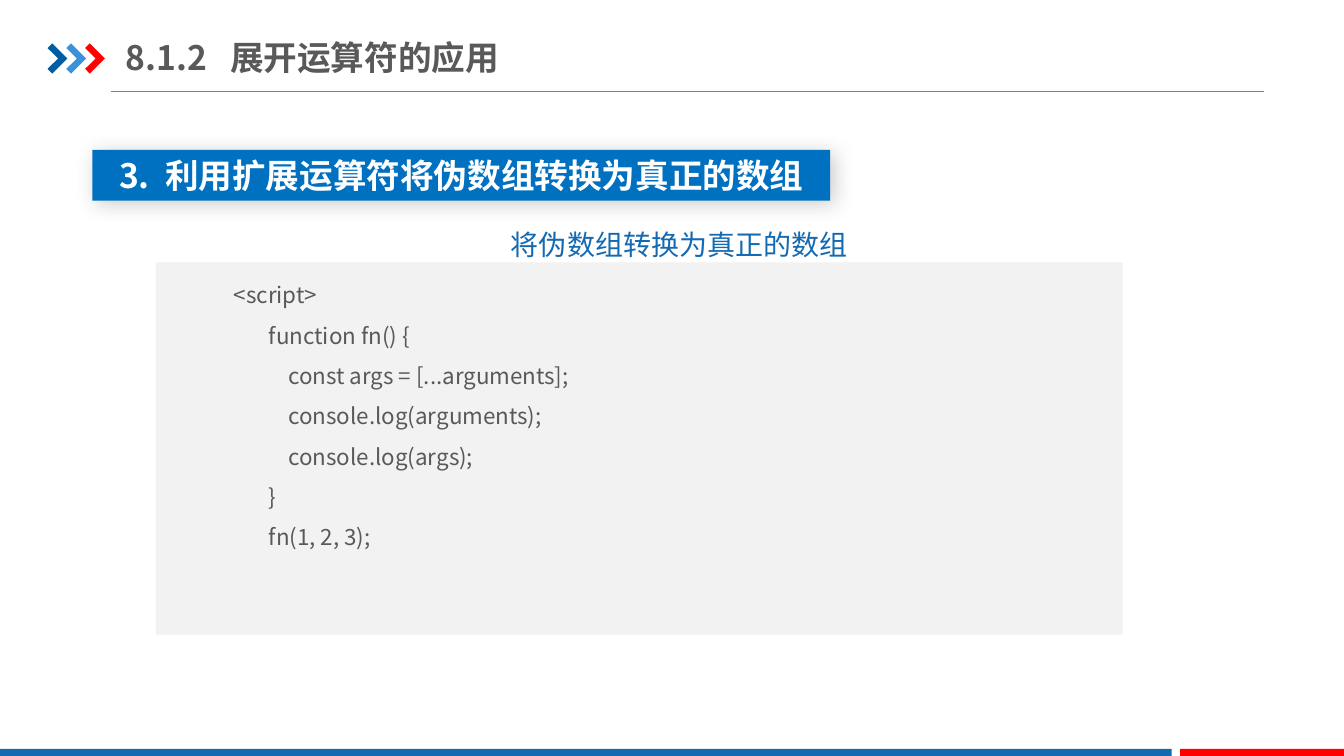
from lxml import etree
from pptx import Presentation
from pptx.dml.color import RGBColor
from pptx.enum import shapes, text
from pptx.oxml import ns
from pptx.util import Pt

FONT = "Noto Sans CJK SC"
WHITE = RGBColor(0xFF, 0xFF, 0xFF)
BLACK = RGBColor(0x00, 0x00, 0x00)
TEXT_GRAY = RGBColor(0x59, 0x59, 0x59)
RULE_GRAY = RGBColor(0x80, 0x80, 0x80)
CODE_GRAY = RGBColor(0xF2, 0xF2, 0xF2)
NAVY = RGBColor(0x00, 0x5D, 0xA2)
SKY = RGBColor(0x39, 0x92, 0xDB)
RED = RGBColor(0xFF, 0x00, 0x00)
BLUE = RGBColor(0x13, 0x69, 0xB2)
HEADING_BLUE = RGBColor(0x00, 0x70, 0xC0)


def add_run(paragraph, words, size, color, bold=False, spacing=0):
    run = paragraph.add_run()
    run.text = words
    run.font.size = Pt(size)
    run.font.bold = bold
    run.font.color.rgb = color
    run.font.name = FONT
    properties = run.font._element
    etree.SubElement(properties, ns.qn("a:ea")).set("typeface", FONT)
    if spacing:
        properties.set("spc", str(spacing))


def add_bar(left, top, width, height, color):
    bar = slide.shapes.add_shape(
        shapes.MSO_SHAPE.RECTANGLE, Pt(left), Pt(top), Pt(width), Pt(height))
    bar.shadow.inherit = False
    bar.fill.solid()
    bar.fill.fore_color.rgb = color
    bar.line.fill.background()
    return bar


presentation = Presentation()
presentation.slide_width = Pt(960)
presentation.slide_height = Pt(540)
slide = presentation.slides.add_slide(presentation.slide_layouts[5])

title = slide.shapes.title
title.left, title.top, title.width, title.height = Pt(90), Pt(21), Pt(307), Pt(39.5)
frame = title.text_frame
frame.auto_size = text.MSO_AUTO_SIZE.NONE
frame.vertical_anchor = text.MSO_ANCHOR.MIDDLE
frame.margin_left = frame.margin_right = 0
frame.margin_top = frame.margin_bottom = Pt(5)
paragraph = frame.paragraphs[0]
paragraph.alignment = text.PP_ALIGN.LEFT
add_run(paragraph, "8.1.2", 24, TEXT_GRAY, True)
add_run(paragraph, " ", 24, TEXT_GRAY, True, 1080)
add_run(paragraph, "展开运算符的应用", 24, TEXT_GRAY, True)

rule = slide.shapes.add_connector(
    shapes.MSO_CONNECTOR.STRAIGHT, Pt(79), Pt(65.5), Pt(903), Pt(65.5))
rule.line.color.rgb = RULE_GRAY
rule.line.width = Pt(0.75)
etree.SubElement(rule._element.spPr, ns.qn("a:effectLst"))

CHEVRON = [(0, 3.4), (3.4, 0), (14.2, 10.8), (3.4, 21.6), (0, 18.2), (7.5, 10.8)]
for index, color in enumerate([NAVY, SKY, RED]):
    left = 34 + index * 13.4
    points = [(Pt(left + x), Pt(31 + y)) for x, y in CHEVRON]
    builder = slide.shapes.build_freeform(*points[0])
    builder.add_line_segments(points[1:], close=True)
    chevron = builder.convert_to_shape()
    chevron.shadow.inherit = False
    chevron.fill.solid()
    chevron.fill.fore_color.rgb = color
    chevron.line.fill.background()

add_bar(0, 535, 837, 6, BLUE)
add_bar(843, 535, 117, 6, RED)
add_bar(111.3, 187.4, 690.7, 266, CODE_GRAY)

CODE = [
    (3, "<script>"),
    (28, "function fn() {"),
    (42, "const args = [...arguments];"),
    (42, "console.log(arguments);"),
    (42, "console.log(args);"),
    (28, "}"),
    (28, "fn(1, 2, 3);"),
]
code_box = slide.shapes.add_textbox(Pt(157), Pt(188), Pt(663), Pt(207.5))
frame = code_box.text_frame
frame.word_wrap = True
for index, (indent, words) in enumerate(CODE):
    paragraph = frame.add_paragraph() if index else frame.paragraphs[0]
    paragraph.line_spacing = 1.5
    paragraph._p.get_or_add_pPr().set("marL", str(Pt(indent)))
    add_run(paragraph, words, 16, TEXT_GRAY)

caption = slide.shapes.add_textbox(Pt(258.5), Pt(145.5), Pt(453.5), Pt(41.5))
frame = caption.text_frame
frame.word_wrap = True
frame.margin_left = frame.margin_right = Pt(9.6)
frame.margin_top = frame.margin_bottom = Pt(4.8)
paragraph = frame.paragraphs[0]
paragraph.alignment = text.PP_ALIGN.CENTER
paragraph.line_spacing = 1.5
add_run(paragraph, "将伪数组转换为真正的数组", 20, BLUE)

heading = add_bar(66, 107, 527, 36.3, HEADING_BLUE)
effects = heading._element.spPr.find(ns.qn("a:effectLst"))
shadow = etree.SubElement(
    effects, ns.qn("a:outerShdw"), blurRad=str(Pt(15)), dist=str(Pt(3)),
    dir="2700000", algn="tl", rotWithShape="0")
shadow_color = etree.SubElement(shadow, ns.qn("a:srgbClr"), val=str(BLACK))
etree.SubElement(shadow_color, ns.qn("a:alpha"), val="20000")
frame = heading.text_frame
frame.word_wrap = True
frame.vertical_anchor = text.MSO_ANCHOR.MIDDLE
paragraph = frame.paragraphs[0]
paragraph.alignment = text.PP_ALIGN.CENTER
add_run(paragraph, "3.", 24, WHITE, True)
add_run(paragraph, " ", 24, WHITE, True, 540)
add_run(paragraph, "利用扩展运算符将伪数组转换为真正的数组", 24, WHITE, True)

presentation.save("out.pptx")
